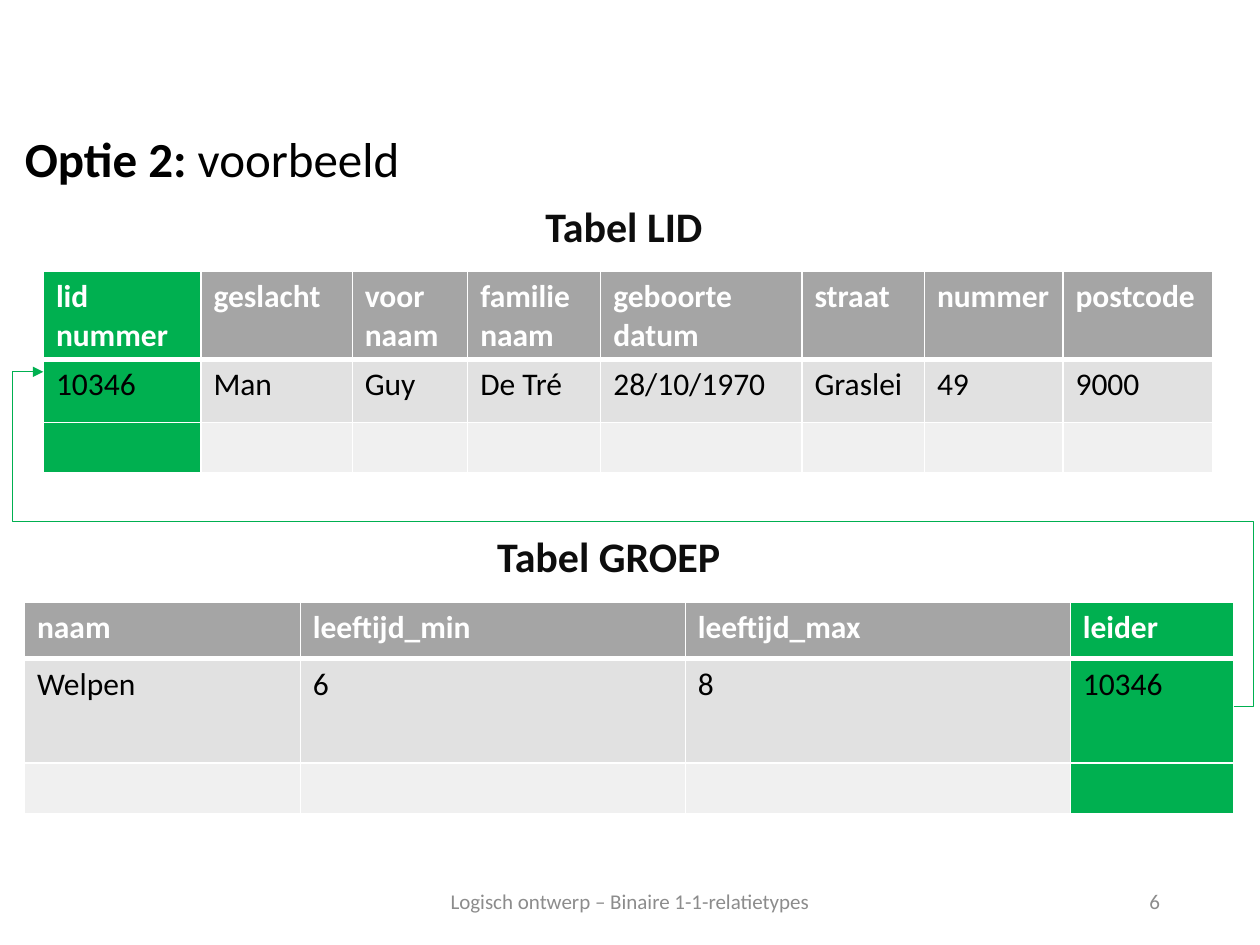
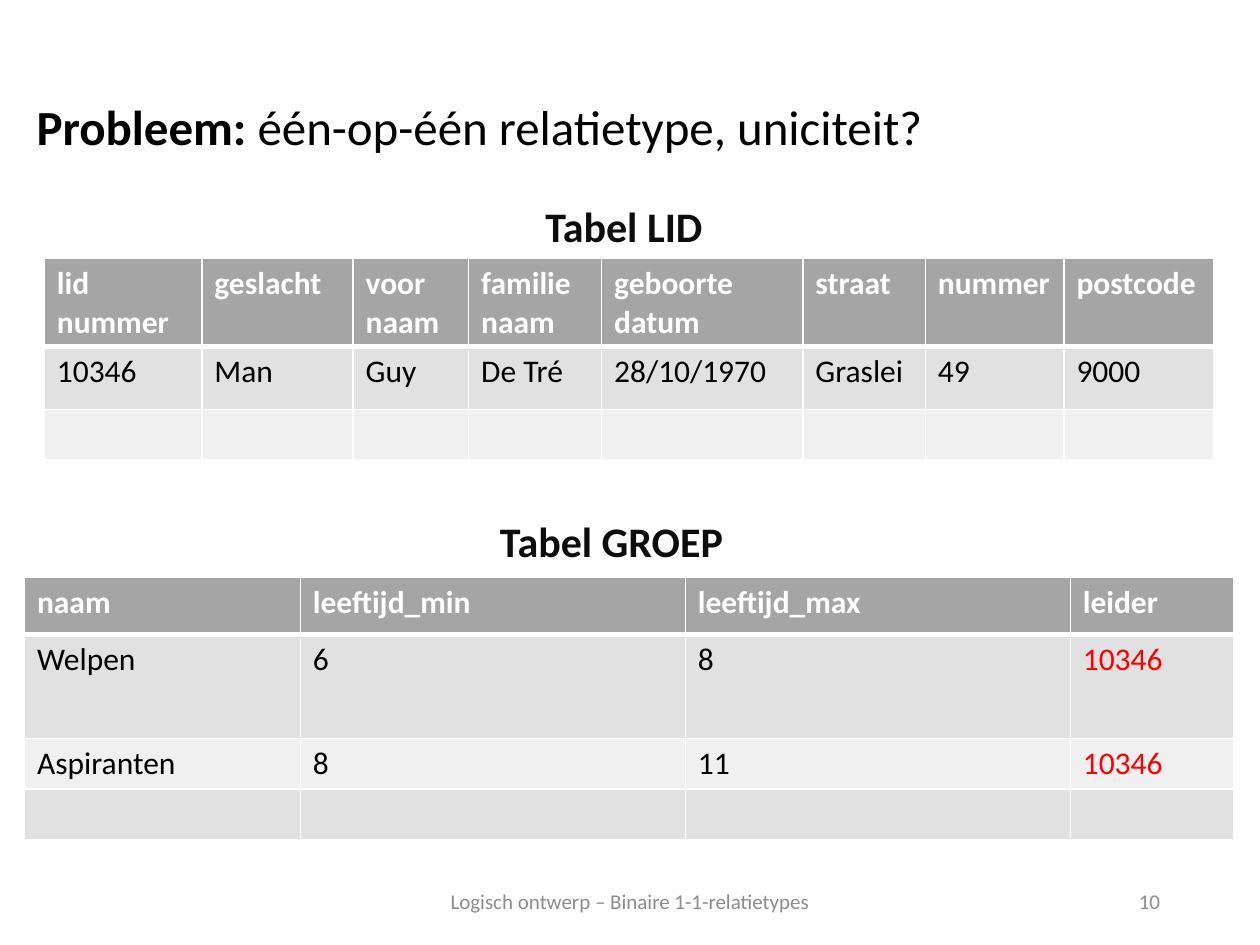
from dataclasses import dataclass

from lxml import etree
from pptx import Presentation
from pptx.dml.color import RGBColor
from pptx.enum import shapes, text
from pptx.oxml.ns import qn
from pptx.util import Pt

FONT = "Calibri"
WHITE, BLACK, TITLE_INK, FOOTER_INK = "FFFFFF", "000000", "0D0D0D", "8C8C8C"
HEADER, BANDS = "A5A5A5", ("E1E1E1", "F0F0F0")
KEY, ALARM = "00B050", "FF0000"
FOOTER = "Logisch ontwerp – Binaire 1-1-relatietypes"

LID_COLUMNS = (90, 86.5, 66, 76, 115, 70, 79.2, 85.7)
LID_HEIGHTS = (50.4, 36, 28.8)
LID_ROWS = (
    ("lid\nnummer", "geslacht", "voor\nnaam", "familie\nnaam",
     "geboorte\ndatum", "straat", "nummer", "postcode"),
    ("10346", "Man", "Guy", "De Tré", "28/10/1970", "Graslei", "49", "9000"),
    ("",) * 8,
)
GROEP_COLUMNS = (157.6, 220, 220, 93.6)
GROEP_HEIGHTS = (32.4, 59.6, 28.8, 28.8)
GROEP_HEADER = ("naam", "leeftijd_min", "leeftijd_max", "leider")
WELPEN = ("Welpen", "6", "8", "10346")
ASPIRANTEN = ("Aspiranten", "8", "11", "10346")
EMPTY_GROEP = ("",) * 4
LEIDER = 3


def colour(hex_string):
    return RGBColor.from_string(hex_string)


def add_border(cell, side, width):
    line = etree.SubElement(cell._tc.get_or_add_tcPr(), qn(f"a:ln{side}"),
                            w=str(Pt(width)))
    fill = etree.SubElement(line, qn("a:solidFill"))
    etree.SubElement(fill, qn("a:srgbClr"), val=WHITE)


@dataclass
class Deck:
    deck: object
    page: object = None

    def new_page(self, number):
        self.page = self.deck.slides.add_slide(self.deck.slide_layouts[5])
        for words, left, width, align in (
                (FOOTER, 204, 312, text.PP_ALIGN.CENTER),
                (number, 508, 162, text.PP_ALIGN.RIGHT)):
            self.label(words, left, 500.4, width, 28.8, 12, FOOTER_INK,
                       align=align, anchor=text.MSO_ANCHOR.MIDDLE)

    def span(self, para, words, size, ink, bold=False):
        span = para.add_run()
        span.text = words
        font = span.font
        font.name, font.size, font.bold = FONT, Pt(size), bold
        font.color.rgb = colour(ink)

    def title(self, lead, rest, left, top):
        box = self.page.shapes.title
        box.left, box.top, box.width, box.height = map(Pt, (left, top, 549, 41))
        frame = box.text_frame
        frame.word_wrap = True
        frame.auto_size = text.MSO_AUTO_SIZE.NONE
        frame.vertical_anchor = text.MSO_ANCHOR.TOP
        para = frame.paragraphs[0]
        para.alignment = text.PP_ALIGN.LEFT
        self.span(para, lead, 28, BLACK, bold=True)
        self.span(para, rest, 28, BLACK)

    def label(self, words, left, top, width, height, size, ink, bold=False,
              align=text.PP_ALIGN.LEFT, anchor=text.MSO_ANCHOR.TOP):
        box = self.page.shapes.add_textbox(*map(Pt, (left, top, width, height)))
        frame = box.text_frame
        frame.word_wrap = True
        frame.vertical_anchor = anchor
        para = frame.paragraphs[0]
        para.alignment = align
        self.span(para, words, size, ink, bold)

    def caption(self, words, left, top, width):
        self.label(words, left, top, width, 36, 24, TITLE_INK, bold=True)

    def table(self, rows, widths, heights, left, top, key=None, alarm=None):
        """Draw a banded table; key is a filled column, alarm a column in red."""
        heights = heights[:len(rows)]
        grid = self.page.shapes.add_table(
            len(rows), len(widths),
            *map(Pt, (left, top, sum(widths), sum(heights)))).table
        for column, width in zip(grid.columns, widths):
            column.width = Pt(width)
        for r, (row, height) in enumerate(zip(rows, heights)):
            grid.rows[r].height = Pt(height)
            band = BANDS[(r - 1) % 2] if r else HEADER
            for c, words in enumerate(row):
                ink = WHITE if r == 0 else ALARM if c == alarm else BLACK
                self.cell(grid.cell(r, c), words, r,
                          KEY if c == key else band, ink)

    def cell(self, cell, words, row, fill, ink):
        for side in "LRTB":
            under_header = (row, side) in ((0, "B"), (1, "T"))
            add_border(cell, side, 3 if under_header else 1)
        cell.fill.solid()
        cell.fill.fore_color.rgb = colour(fill)
        frame = cell.text_frame
        for i, line in enumerate(words.split("\n") if words else ()):
            para = frame.add_paragraph() if i else frame.paragraphs[0]
            self.span(para, line, 18, ink, bold=row == 0)

    def reference_arrow(self, start, end, bends):
        """Draw an elbow arrow with three bends, in thousandths of a percent."""
        arrow = self.page.shapes.add_connector(
            shapes.MSO_CONNECTOR.ELBOW, *map(Pt, start + end))
        arrow.line.color.rgb = colour(KEY)
        arrow.line.width = Pt(0.5)
        properties = arrow._element.spPr
        geometry = properties.find(qn("a:prstGeom"))
        geometry.set("prst", "bentConnector5")
        guides = geometry.find(qn("a:avLst"))
        if guides is None:
            guides = etree.SubElement(geometry, qn("a:avLst"))
        for i, bend in enumerate(bends, 1):
            etree.SubElement(guides, qn("a:gd"), name=f"adj{i}",
                             fmla=f"val {bend}")
        etree.SubElement(properties.find(qn("a:ln")), qn("a:tailEnd"),
                         type="triangle")
        etree.SubElement(properties, qn("a:effectLst"))


def option_page(show):
    show.new_page("6")
    show.title("Optie 2: ", "voorbeeld", 7, 70)
    show.caption("Tabel LID", 304.5, 111, 107)
    show.table(LID_ROWS, LID_COLUMNS, LID_HEIGHTS, 24.8, 155, key=0)
    show.caption("Tabel GROEP", 277, 299.5, 159)
    show.table((GROEP_HEADER, WELPEN, EMPTY_GROEP), GROEP_COLUMNS,
               GROEP_HEIGHTS, 14, 344, key=LEIDER)
    show.reference_arrow((705, 404), (24.8, 212.5), (-1650, 55400, 102600))


def problem_page(show):
    show.new_page("10")
    show.title("Probleem: ", "één-op-één relatietype, uniciteit?", 13.7, 51.5)
    show.caption("Tabel LID", 304.5, 111, 107)
    show.table(LID_ROWS, LID_COLUMNS, LID_HEIGHTS, 25.3, 147.6)
    show.caption("Tabel GROEP", 278.6, 291, 159)
    show.table((GROEP_HEADER, WELPEN, ASPIRANTEN, EMPTY_GROEP), GROEP_COLUMNS,
               GROEP_HEIGHTS, 14, 330, alarm=LEIDER)


def main():
    deck = Presentation()
    deck.slide_width, deck.slide_height = Pt(720), Pt(540)
    show = Deck(deck)
    option_page(show)
    problem_page(show)
    deck.save("out.pptx")


if __name__ == "__main__":
    main()
